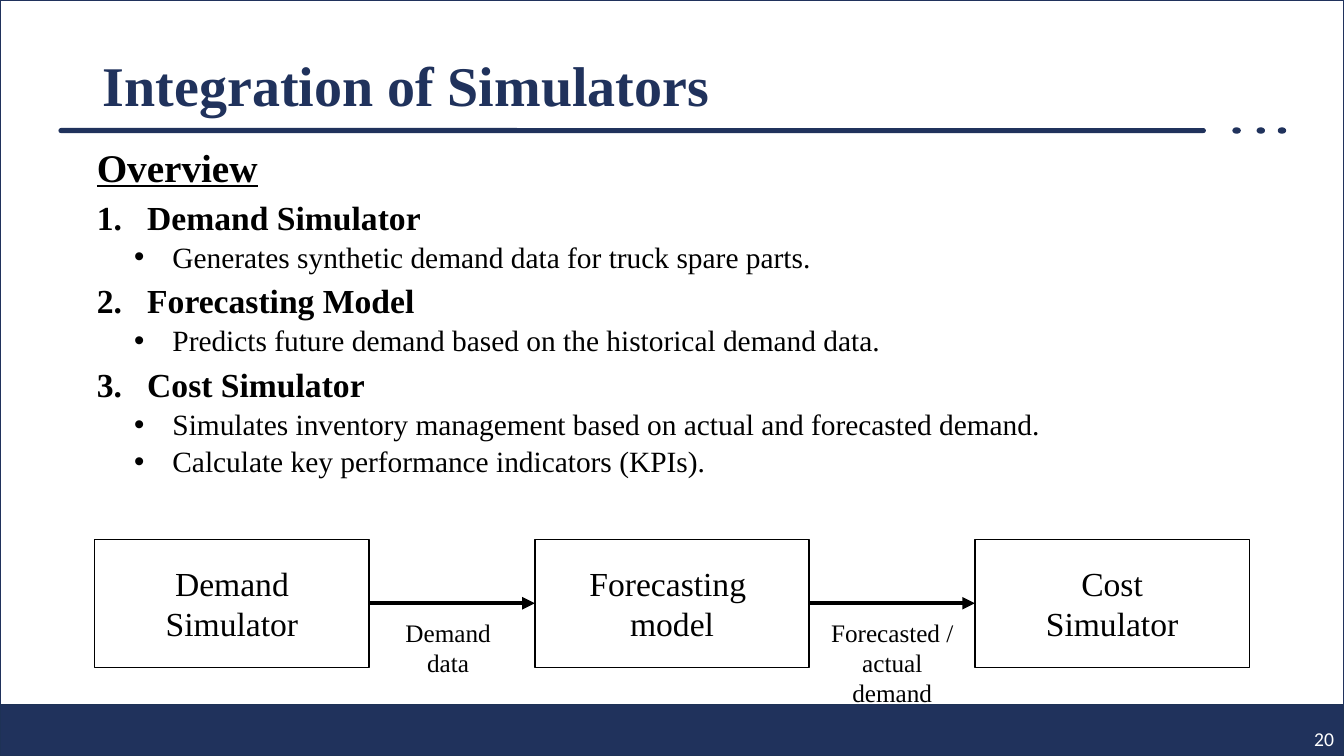
from lxml import etree
from pptx import Presentation
from pptx import util as u
from pptx.dml.color import RGBColor
from pptx.enum import shapes, text
from pptx.oxml.ns import qn

WIDTH, HEIGHT = 13.33, 7.5
SERIF = "Times New Roman"
COLORS = {"navy": "20325C", "edge": "1E3256", "white": "FFFFFF", "black": "000000"}

# Kind of paragraph: size, bold, level, margin, indent, space before
STYLES = {
    "heading": (28, True, 0, 0, 0, 0),
    "number": (24, True, 0, 0.5, -0.5, 7.5),
    "bullet": (21, False, 1, 0.75, -0.38, 3.8),
}
OVERVIEW = [
    ("heading", "Overview"),
    ("number", "Demand Simulator"),
    ("bullet", "Generates synthetic demand data for truck spare parts."),
    ("number", "Forecasting Model"),
    ("bullet", "Predicts future demand based on the historical demand data."),
    ("number", "Cost Simulator"),
    ("bullet", "Simulates inventory management based on actual and forecasted demand."),
    ("bullet", "Calculate key performance indicators (KPIs)."),
]
STAGES = ["Demand\nSimulator", "Forecasting \nmodel", "Cost\nSimulator"]
# Text on each arrow, with its offset from the stage before it and its height
FLOWS = [("Demand\ndata", 0, 0.71), ("Forecasted /\nactual\ndemand", 0.04, 1.01)]


def color(name):
    return RGBColor.from_string(COLORS[name])


def inches(*lengths):
    return [u.Inches(length) for length in lengths]


def place(shape, box):
    shape.left, shape.top, shape.width, shape.height = inches(*box)


def style_runs(para, size, ink="black", font=SERIF, bold=False):
    for span in para.runs:
        span.font.size = u.Pt(size)
        span.font.name = font
        span.font.bold = bold
        span.font.color.rgb = color(ink)


def write(shape, words, size, align, ink="black", font=SERIF):
    frame = shape.text_frame
    frame.word_wrap = True
    frame.text = words
    for para in frame.paragraphs:
        para.alignment = align
        style_runs(para, size, ink, font)


def add_block(page, kind, box, fill=None, line=None):
    block = page.shapes.add_shape(kind, *inches(*box))
    block.shadow.inherit = False
    if fill:
        block.fill.solid()
        block.fill.fore_color.rgb = color(fill)
    else:
        block.fill.background()
    if line:
        block.line.color.rgb = color(line)
        block.line.width = u.Pt(1)
    else:
        block.line.fill.background()
    return block


def add_frame(page, box):
    """Page outline, footer band, page number and rule under the title."""
    left, top, width, height = box
    kinds = shapes.MSO_SHAPE
    add_block(page, kinds.RECTANGLE, box, line="navy")
    band = 0.51
    bottom = top + height
    add_block(page, kinds.RECTANGLE, (left, bottom - band, width, band), "navy", "edge")
    number = page.shapes.add_textbox(*inches(left + width - 1.87, bottom - 0.34, 1.87, 0.34))
    write(number, "20", 14, text.PP_ALIGN.RIGHT, "white", "Calibri")

    # Rule with three dots
    rule_top = top + 1.27
    rule = add_block(page, kinds.ROUNDED_RECTANGLE, (left + 0.58, rule_top, 11.38, 0.05), "navy")
    rule.adjustments[0] = 0.5
    for dot_left in (12.23, 12.47, 12.68):
        add_block(page, kinds.OVAL, (left + dot_left, rule_top, 0.07, 0.05), "navy", "navy")


def add_title(page, box):
    title = page.shapes.title
    place(title, box)
    frame = title.text_frame
    frame.text = "Integration of Simulators"
    frame.auto_size = text.MSO_AUTO_SIZE.NONE
    frame.vertical_anchor = text.MSO_ANCHOR.MIDDLE
    para = frame.paragraphs[0]
    para.alignment = text.PP_ALIGN.LEFT
    para.line_spacing = 0.9
    style_runs(para, 40, "navy", bold=True)


def set_marker(para, kind, margin, indent):
    props = para._p.get_or_add_pPr()
    props.set("marL", str(u.Inches(margin)))
    props.set("indent", str(u.Inches(indent)))
    if kind == "number":
        etree.SubElement(props, qn("a:buFont"), typeface="+mj-lt")
        etree.SubElement(props, qn("a:buAutoNum"), type="arabicPeriod")
    elif kind == "bullet":
        etree.SubElement(props, qn("a:buFont"), typeface="Arial")
        etree.SubElement(props, qn("a:buChar"), char="•")
    else:
        etree.SubElement(props, qn("a:buNone"))


def add_overview(page, box):
    body = page.placeholders[1]
    place(body, box)
    frame = body.text_frame
    frame.text = "\n".join(words for _, words in OVERVIEW)
    frame.auto_size = text.MSO_AUTO_SIZE.NONE
    for para, (kind, _) in zip(frame.paragraphs, OVERVIEW):
        size, bold, level, margin, indent, before = STYLES[kind]
        set_marker(para, kind, margin, indent)
        para.level = level
        para.alignment = text.PP_ALIGN.JUSTIFY
        para.line_spacing = 0.9
        para.space_before = u.Pt(before)
        style_runs(para, size, bold=bold)
    frame.paragraphs[0].runs[0].font.underline = True


def add_arrow(page, start, end):
    arrow = page.shapes.add_connector(shapes.MSO_CONNECTOR.STRAIGHT, 0, 0, 0, 0)
    arrow.begin_connect(start, 3)
    arrow.end_connect(end, 1)
    arrow.line.color.rgb = color("black")
    arrow.line.width = u.Pt(3)
    etree.SubElement(arrow.line._get_or_add_ln(), qn("a:tailEnd"), type="triangle")
    etree.SubElement(arrow._element.spPr, qn("a:effectLst"))


def add_flow(page, box):
    """Three stages spread evenly over the box, joined by labelled arrows."""
    left, top, width, height = box
    stage_width = 2.72
    step = (width - stage_width) / (len(STAGES) - 1)
    stages = []
    for column, words in enumerate(STAGES):
        stage = add_block(page, shapes.MSO_SHAPE.RECTANGLE,
                          (left + column * step, top, stage_width, height), "white", "black")
        write(stage, words, 24, text.PP_ALIGN.CENTER)
        stage.text_frame.vertical_anchor = text.MSO_ANCHOR.MIDDLE
        stages.append(stage)
    for start, end in zip(stages, stages[1:]):
        add_arrow(page, start, end)
    for column, (words, offset, label_height) in enumerate(FLOWS):
        label_left = left + column * step + stage_width + offset
        label = page.shapes.add_textbox(*inches(label_left, top + 0.72, 1.57, label_height))
        write(label, words, 18, text.PP_ALIGN.CENTER)


def main():
    deck = Presentation()
    deck.slide_width, deck.slide_height = inches(WIDTH, HEIGHT)
    page = deck.slides.add_slide(deck.slide_layouts[1])
    add_frame(page, (0, 0, WIDTH, HEIGHT))
    add_title(page, (0.92, 0.54, 11.5, 0.68))
    add_overview(page, (0.86, 1.42, 12.06, 5.3))
    add_flow(page, (0.94, 5.35, 11.45, 1.27))
    deck.save("out.pptx")


if __name__ == "__main__":
    main()
